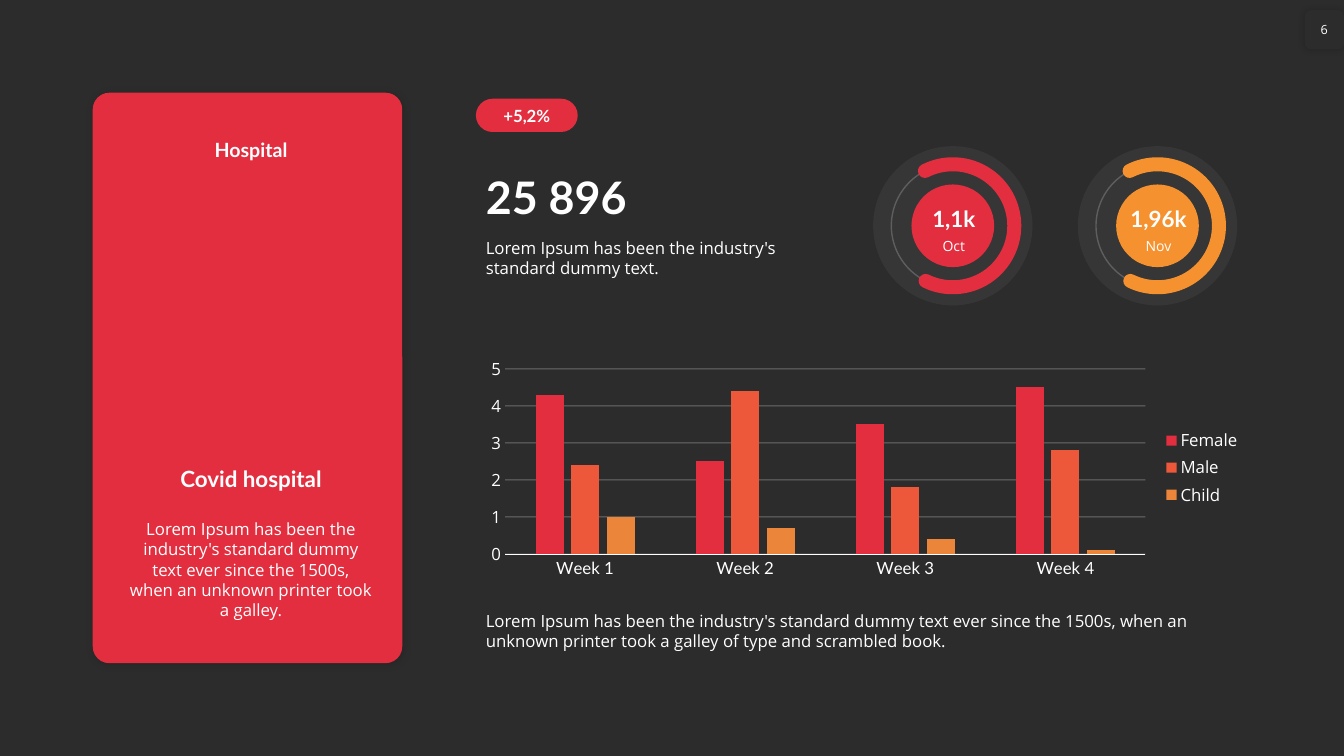
from lxml import etree
from pptx import Presentation
from pptx.chart.data import CategoryChartData
from pptx.dml.color import RGBColor
from pptx.enum.chart import XL_CHART_TYPE, XL_LEGEND_POSITION, XL_TICK_MARK
from pptx.enum.shapes import MSO_SHAPE as SHAPE
from pptx.enum.text import MSO_ANCHOR as ANCHOR, MSO_AUTO_SIZE as AUTO, PP_ALIGN as ALIGN
from pptx.oxml import parse_xml
from pptx.oxml.ns import nsdecls, qn
from pptx.util import Pt

PX = 9144  # EMU in one px, 100 px to the inch
HEAD, BODY = "Lato", "Open Sans"
COLORS = {
    "back": "2C2C2C",
    "white": "FFFFFF",
    "red": "E22E3F",
    "coral": "EE583A",
    "amber": "EB8539",
    "orange": "F5922F",
}


def rgb(name):
    return RGBColor.from_string(COLORS[name])


def set_alpha(fill, percent):
    color = fill._xPr.find(".//" + qn("a:srgbClr"))
    etree.SubElement(color, qn("a:alpha"), val=str(percent * 1000))


def add_shadow(sp, alpha, blur, dist):
    effects = sp._element.spPr.find(qn("a:effectLst"))
    effects.append(parse_xml(
        f'<a:outerShdw {nsdecls("a")} blurRad="{Pt(blur)}" dist="{Pt(dist)}" dir="2700000" '
        f'algn="tl" rotWithShape="0"><a:srgbClr val="000000"><a:alpha val="{alpha * 1000}"/>'
        '</a:srgbClr></a:outerShdw>'))


def add_shape(s, kind, box, fill=None, fill_alpha=None, line=None, width=1, line_alpha=None):
    sp = s.shapes.add_shape(kind, *(v * PX for v in box))
    sp.shadow.inherit = False
    if fill:
        sp.fill.solid()
        sp.fill.fore_color.rgb = rgb(fill)
        if fill_alpha:
            set_alpha(sp.fill, fill_alpha)
    else:
        sp.fill.background()
    if line:
        sp.line.color.rgb = rgb(line)
        sp.line.width = Pt(width)
        if line_alpha:
            set_alpha(sp.line.fill, line_alpha)
    else:
        sp.line.fill.background()
    return sp


def set_font(font, size, name=BODY, bold=False):
    font.size, font.name, font.bold = Pt(size), name, bold
    font.color.rgb = rgb("white")


def write(sp, text, size=12, font=BODY, bold=False, align=ALIGN.LEFT, anchor=ANCHOR.TOP,
          wrap=True, auto=AUTO.NONE, margin_x=10, margin_y=5):
    tf = sp.text_frame
    tf.word_wrap, tf.auto_size, tf.vertical_anchor = wrap, auto, anchor
    tf.margin_left = tf.margin_right = margin_x * PX
    tf.margin_top = tf.margin_bottom = margin_y * PX
    p = tf.paragraphs[0]
    p.alignment = align
    r = p.add_run()
    r.text = text
    set_font(r.font, size, font, bold)


def add_text(s, box, text, **fmt):
    sp = s.shapes.add_textbox(*(v * PX for v in box))
    write(sp, text, auto=AUTO.SHAPE_TO_FIT_TEXT, **fmt)


def add_card(s, x, y, w, h):
    card = add_shape(s, SHAPE.ROUNDED_RECTANGLE, (x, y, w, h), "red")
    card.adjustments[0] = 0.054
    add_shadow(card, 15, 6, 1)
    left, width = x + 26, w - 45
    title = dict(font=HEAD, bold=True, align=ALIGN.CENTER)
    add_text(s, (left, y + 39, width, 34), "Hospital", size=14, anchor=ANCHOR.BOTTOM, **title)
    add_text(s, (left, y + 365, width, 37), "Covid hospital", size=16, **title)
    add_text(s, (left, y + 418, width, 91),
             "Lorem Ipsum has been the industry's standard dummy text ever since the 1500s, "
             "when an unknown printer took a galley.", align=ALIGN.CENTER)


def add_page_number(s, x, y, w, h):
    badge = add_shape(s, SHAPE.ROUNDED_RECTANGLE, (x, y, w, h), "back")
    add_shadow(badge, 20, 5, 0)
    write(badge, "6", size=9, align=ALIGN.CENTER, anchor=ANCHOR.MIDDLE, wrap=False, margin_x=0)


def add_headline(s, x, y, w):
    pill = add_shape(s, SHAPE.ROUNDED_RECTANGLE, (x, y, 101, 33), "red")
    pill.adjustments[0] = 0.5
    write(pill, "+5,2%", font=HEAD, bold=True, align=ALIGN.CENTER, anchor=ANCHOR.MIDDLE,
          margin_x=0, margin_y=0)
    add_text(s, (x, y + 65, w, 64), "25 896", size=32, font=HEAD, bold=True, anchor=ANCHOR.BOTTOM)
    add_text(s, (x, y + 133, w, 50), "Lorem Ipsum has been the industry's standard dummy text.")


def add_gauge(s, x, y, size, color, value, month):
    def inset(d):
        return x + d, y + d, size - 2 * d, size - 2 * d

    add_shape(s, SHAPE.OVAL, inset(0), "white", fill_alpha=5)
    add_shape(s, SHAPE.OVAL, inset(18), line="white", line_alpha=20)
    arc = add_shape(s, SHAPE.ARC, inset(18), line=color, width=10)
    # Angles count in 60000ths of a degree, adjustments in 100000ths
    for i, degrees in enumerate((243.08, 116.19)):
        arc.adjustments[i] = degrees * 0.6
    arc.line._ln.set("cap", "rnd")
    etree.SubElement(arc.line._ln, qn("a:round"))
    add_shape(s, SHAPE.OVAL, inset(38), color)
    left, width = x + 39, size - 76
    add_text(s, (left, y + 53, width, 37), value, size=16, font=HEAD, bold=True,
             align=ALIGN.CENTER, anchor=ANCHOR.BOTTOM)
    add_text(s, (left, y + 86, width, 27), month, size=10, align=ALIGN.CENTER)


def add_week_chart(s, *box):
    series = {
        "Female": ("red", (4.3, 2.5, 3.5, 4.5)),
        "Male": ("coral", (2.4, 4.4, 1.8, 2.8)),
        "Child": ("amber", (1, 0.7, 0.4, 0.1)),
    }
    data = CategoryChartData()
    data.categories = [f"Week {n}" for n in range(1, 5)]
    for name, (_, values) in series.items():
        data.add_series(name, values)
    chart = s.shapes.add_chart(XL_CHART_TYPE.COLUMN_CLUSTERED, *(v * PX for v in box), data).chart
    set_font(chart.font, 10)
    chart.has_title = False
    chart.has_legend = True
    chart.legend.position = XL_LEGEND_POSITION.RIGHT
    chart.legend.include_in_layout = False
    set_font(chart.legend.font, 12)

    plot = chart.plots[0]
    plot.gap_width, plot.overlap, plot.vary_by_categories = 219, -27, False
    for bars, (color, _) in zip(plot.series, series.values()):
        bars.format.fill.solid()
        bars.format.fill.fore_color.rgb = rgb(color)
        bars.invert_if_negative = False

    weeks, counts = chart.category_axis, chart.value_axis
    for axis, font in ((weeks, HEAD), (counts, BODY)):
        axis.major_tick_mark = axis.minor_tick_mark = XL_TICK_MARK.NONE
        set_font(axis.tick_labels.font, 12, font)
    counts.minimum_scale, counts.maximum_scale, counts.major_unit = 0, 5, 1
    counts.format.line.fill.background()
    grid = counts.major_gridlines.format.line
    for line in (weeks.format.line, grid):
        line.color.rgb = rgb("white")
        line.width = Pt(0.75)
    set_alpha(grid.fill, 30)


def main():
    prs = Presentation()
    prs.slide_width, prs.slide_height = 1333 * PX, 750 * PX
    s = prs.slides.add_slide(prs.slide_layouts[6])
    s.background.fill.solid()
    s.background.fill.fore_color.rgb = rgb("back")

    add_card(s, 92, 92, 307, 566)
    add_page_number(s, 1294, 10, 39, 39)

    # Right column: headline, gauges, chart, caption
    left = 472
    add_headline(s, left, 98, 336)
    gauges = (("red", "1,1k", "Oct"), ("orange", "1,96k", "Nov"))
    for i, gauge in enumerate(gauges):
        add_gauge(s, 866 + i * 203, 145, 158, *gauge)
    add_week_chart(s, left, 350, 769, 228)
    add_text(s, (left, 601, 770, 50),
             "Lorem Ipsum has been the industry's standard dummy text ever since the 1500s, "
             "when an unknown printer took a galley of type and scrambled book.")
    prs.save("out.pptx")


if __name__ == "__main__":
    main()
